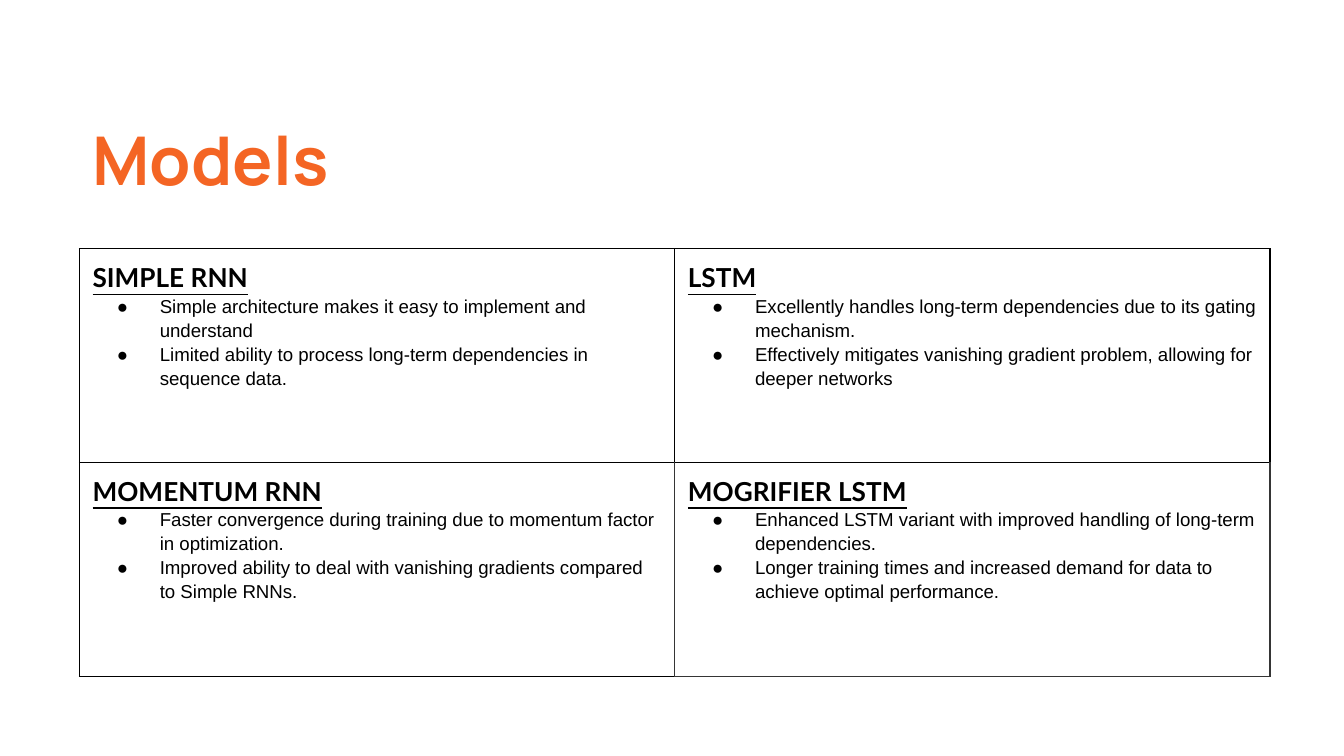
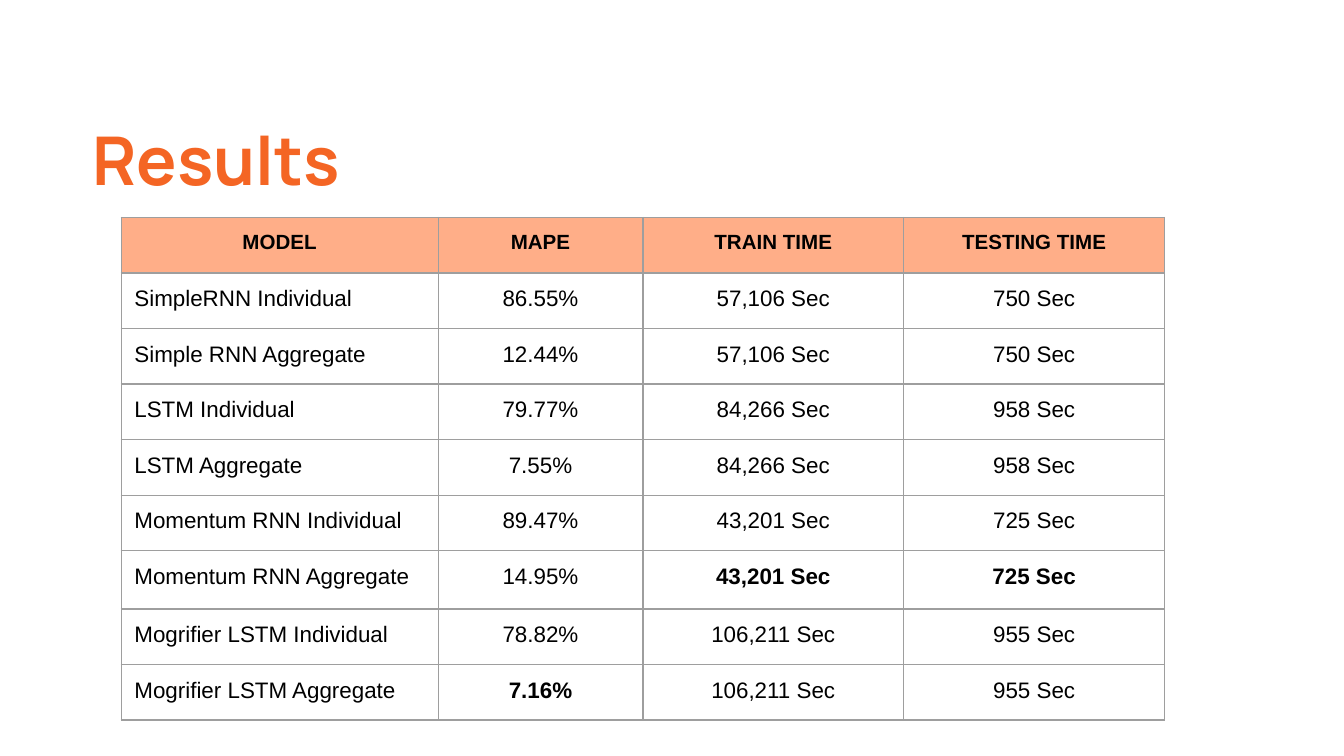
from pptx import Presentation
from pptx import util as u
from pptx.dml.color import RGBColor
from pptx.enum import text
from pptx.oxml import parse_xml
from pptx.oxml.ns import nsdecls

ORANGE = RGBColor(0xF4, 0x65, 0x24)
PEACH = RGBColor(0xFF, 0xAE, 0x88)
BLACK = RGBColor(0, 0, 0)
CHARCOAL = RGBColor(0x35, 0x35, 0x35)
GREY = RGBColor(0x9E, 0x9E, 0x9E)
TITLE_FONT, HEADING_FONT, BODY_FONT = "Manrope", "Lato", "Arial"
INSET = u.Cm(0.25)

MODELS = [
    [("SIMPLE RNN",
      "Simple architecture makes it easy to implement and understand",
      "Limited ability to process long-term dependencies in sequence data."),
     ("LSTM",
      "Excellently handles long-term dependencies due to its gating mechanism.",
      "Effectively mitigates vanishing gradient problem, allowing for deeper networks")],
    [("MOMENTUM RNN",
      "Faster convergence during training due to momentum factor in optimization.",
      "Improved ability to deal with vanishing gradients compared to Simple RNNs."),
     ("MOGRIFIER LSTM",
      "Enhanced LSTM variant with improved handling of long-term dependencies.",
      "Longer training times and increased demand for data to achieve optimal performance.")],
]
MODEL_BORDERS = {(1, 0): {"R": CHARCOAL},
                 (1, 1): {"L": CHARCOAL, "R": CHARCOAL, "B": CHARCOAL}}

RESULTS = [
    ("MODEL", "MAPE", "TRAIN TIME", "TESTING TIME"),
    ("SimpleRNN Individual", "86.55%", "57,106 Sec", "750 Sec"),
    ("Simple RNN Aggregate", "12.44%", "57,106 Sec", "750 Sec"),
    ("LSTM Individual", "79.77%", "84,266 Sec", "958 Sec"),
    ("LSTM Aggregate", "7.55%", "84,266 Sec", "958 Sec"),
    ("Momentum RNN Individual", "89.47%", "43,201 Sec", "725 Sec"),
    ("Momentum RNN Aggregate", "14.95%", "43,201 Sec", "725 Sec"),
    ("Mogrifier LSTM Individual", "78.82%", "106,211 Sec", "955 Sec"),
    ("Mogrifier LSTM Aggregate", "7.16%", "106,211 Sec", "955 Sec"),
]
BEST_RESULTS = {(6, 2), (6, 3), (8, 1)}


def set_font(para, name, size, colour=BLACK, bold=False):
    """Set the font of a whole paragraph."""
    font = para.font
    font.name, font.size, font.bold = name, u.Pt(size), bold
    font.color.rgb = colour


def set_insets(box):
    """Give a cell or text frame the shared margins."""
    box.margin_left = box.margin_right = INSET
    box.margin_top = box.margin_bottom = INSET


def add_page(deck, title, width):
    """Add a slide with the shared title style."""
    page = deck.slides.add_slide(deck.slide_layouts[5])
    box = page.shapes.title
    box.left, box.top = u.Cm(1.5), u.Cm(1.98)
    box.width, box.height = u.Cm(width), u.Cm(2.14)
    frame = box.text_frame
    frame.text = title
    frame.auto_size = text.MSO_AUTO_SIZE.NONE
    frame.vertical_anchor = text.MSO_ANCHOR.TOP
    set_insets(frame)
    para = frame.paragraphs[0]
    para.alignment = text.PP_ALIGN.LEFT
    para.space_after = u.Pt(16)
    set_font(para, TITLE_FONT, 36, ORANGE, bold=True)
    return page


def add_grid(page, left, top, widths, heights):
    """Add a plain table with the given column widths and row heights."""
    table = page.shapes.add_table(
        len(heights), len(widths), u.Cm(left), u.Cm(top),
        u.Cm(sum(widths)), u.Cm(sum(heights))).table
    table.first_row = table.horz_banding = False
    for column, width in zip(table.columns, widths):
        column.width = u.Cm(width)
    for row, height in zip(table.rows, heights):
        row.height = u.Cm(height)
    return table


def style_cell(cell, border, fill=None, sides=None):
    """Set margins, borders and fill; sides holds border colours that differ."""
    set_insets(cell)
    colours = dict.fromkeys("LRTB", border) | (sides or {})
    for side, colour in colours.items():
        cell._tc.get_or_add_tcPr().append(parse_xml(
            f'<a:ln{side} {nsdecls("a")} w="{u.Pt(0.75)}"><a:solidFill>'
            f'<a:srgbClr val="{colour}"/></a:solidFill></a:ln{side}>'))
    if fill is None:
        cell.fill.background()
    else:
        cell.fill.solid()
        cell.fill.fore_color.rgb = fill


def make_bullet(para):
    """Turn a paragraph into an indented bullet point."""
    para.line_spacing = 1.15
    props = para._p.get_or_add_pPr()
    props.set("marL", str(u.Cm(1.27)))
    props.set("indent", str(u.Cm(-0.81)))
    for item in (f'<a:buClr {nsdecls("a")}><a:srgbClr val="{BLACK}"/></a:buClr>',
                 f'<a:buFont {nsdecls("a")} typeface="{BODY_FONT}"/>',
                 f'<a:buChar {nsdecls("a")} char="●"/>'):
        props.append(parse_xml(item))


def write_model(cell, heading, *points):
    """Write an underlined heading and its bullet points."""
    cell.text = "\n".join((heading, *points))
    first, *others = cell.text_frame.paragraphs
    set_font(first, HEADING_FONT, 14, bold=True)
    first.font.underline = True
    for para in others:
        make_bullet(para)
        set_font(para, BODY_FONT, 10)


def add_models(deck):
    """Add the slide that compares the four models."""
    page = add_page(deck, "Models", 14.43)
    table = add_grid(page, 1.5, 4.7, [11.25] * 2, [4.04] * 2)
    for r, row in enumerate(MODELS):
        for c, model in enumerate(row):
            cell = table.cell(r, c)
            style_cell(cell, BLACK, sides=MODEL_BORDERS.get((r, c)))
            write_model(cell, *model)


def add_results(deck):
    """Add the slide with errors and times of each model."""
    page = add_page(deck, "Results", 15.77)
    heights = [1.05] * 6 + [1.1] + [1.05] * 2
    table = add_grid(page, 2.29, 4.11, [5.99, 3.87, 4.93, 4.93], heights)
    for r, row in enumerate(RESULTS):
        header = r == 0
        for c, value in enumerate(row):
            cell = table.cell(r, c)
            style_cell(cell, GREY, fill=PEACH if header else None)
            cell.text = value
            para = cell.text_frame.paragraphs[0]
            if header or c > 0:
                para.alignment = text.PP_ALIGN.CENTER
            set_font(para, BODY_FONT, 11 if header else 12,
                     bold=header or (r, c) in BEST_RESULTS)


def main():
    """Build and save the deck."""
    deck = Presentation()
    deck.slide_width, deck.slide_height = u.Cm(25.4), u.Cm(14.29)
    add_models(deck)
    add_results(deck)
    deck.save("out.pptx")


if __name__ == "__main__":
    main()
